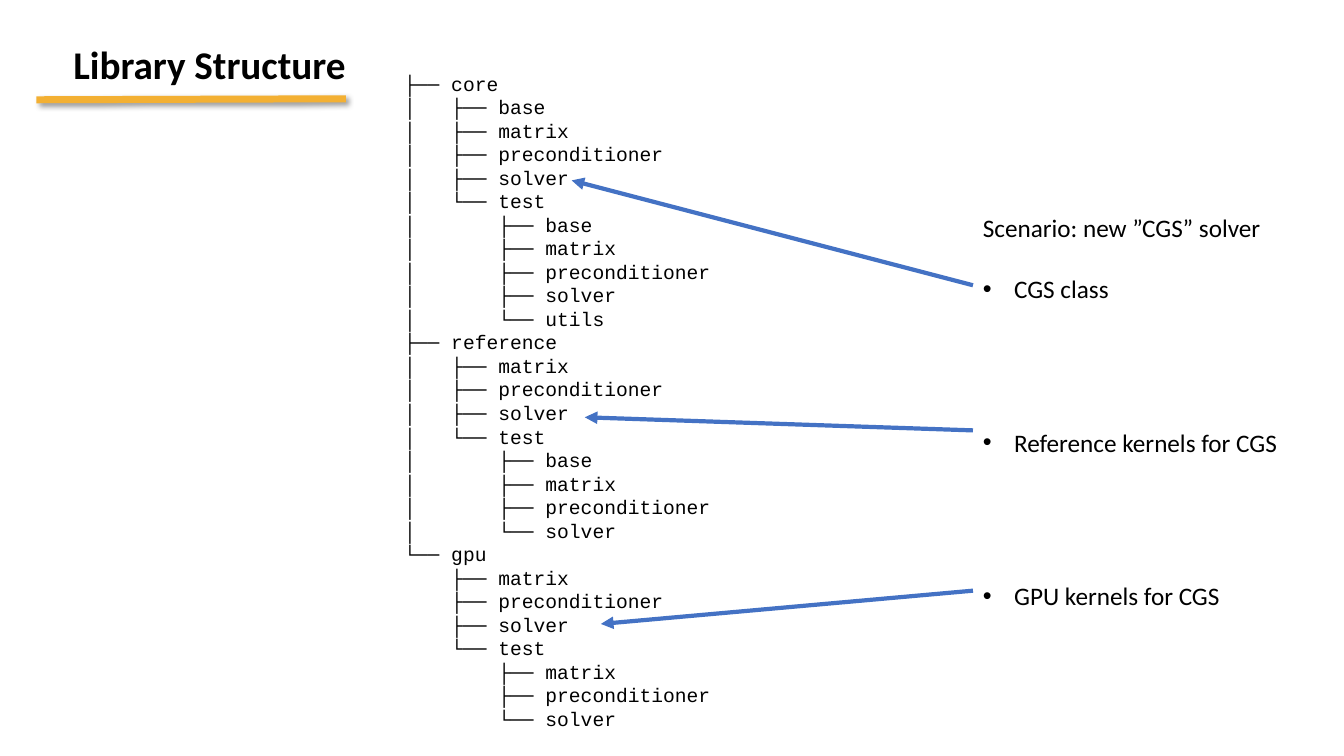
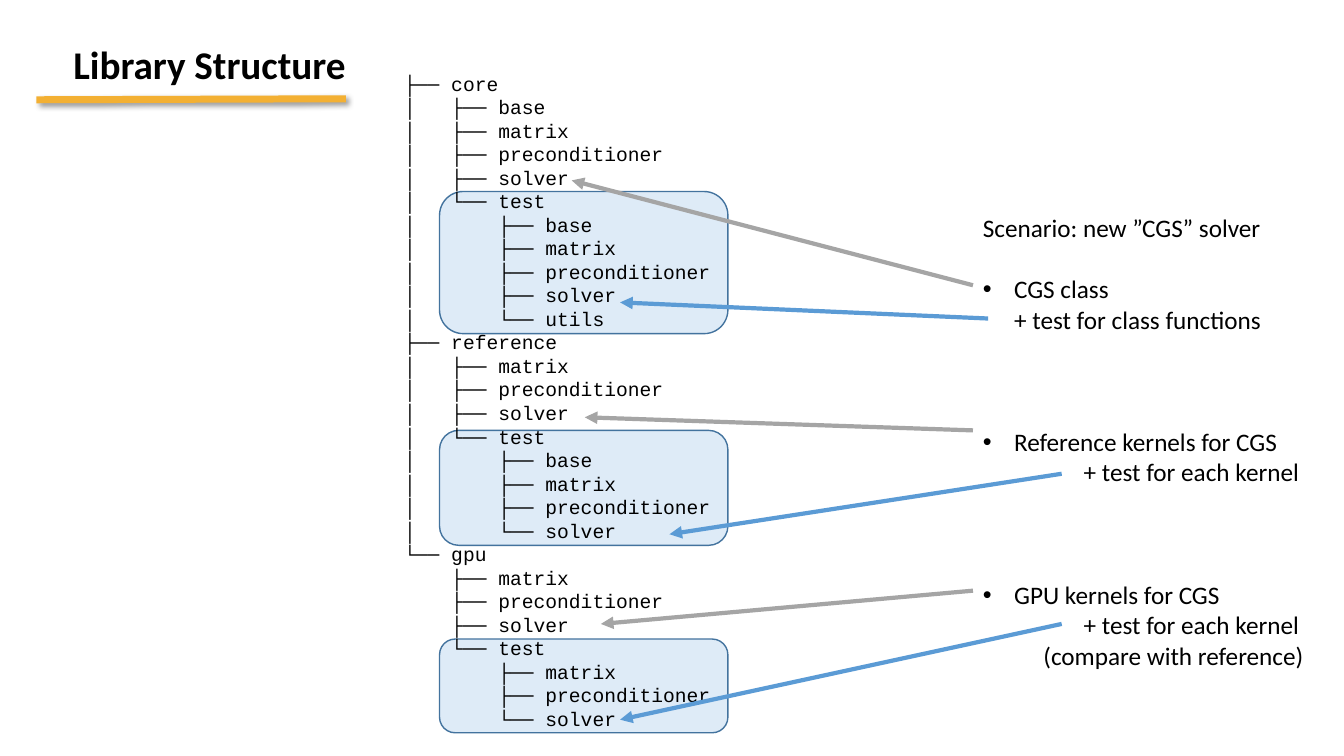
from lxml import etree
from pptx import Presentation
from pptx.dml.color import RGBColor
from pptx.enum.shapes import MSO_CONNECTOR, MSO_SHAPE
from pptx.enum.text import MSO_ANCHOR
from pptx.oxml.ns import qn
from pptx.util import Inches, Pt

STRAIGHT = MSO_CONNECTOR.STRAIGHT
ROUNDED = MSO_SHAPE.ROUNDED_RECTANGLE
MIDDLE = MSO_ANCHOR.MIDDLE

BLACK, GOLD = "000000", "F3B033"
BLUE, LIGHT_BLUE, GREY = "4472C4", "5B9BD5", "A5A5A5"
PANEL_FILL, PANEL_LINE = "DEEBF7", "43739E"

TITLE_FONT = {"name": "Calibri", "size": Pt(28), "bold": True}
NOTE_FONT = {"name": "Calibri", "size": Pt(18)}
TREE_FONT = {"name": "Courier New", "size": Pt(14)}
TREE_PITCH = Pt(16.8)
NOTE_LINE = 22
NOTE_INDENT = 0.31

TITLE_BOX = (0.63, -0.09, 11.03, 1.5)
TREE_BOX = (3.91, 0.66, 5.89, 6.7)
NOTES_BOX = (9.65, 2.06, 3.42, 4.95)

KERNELS = ["matrix", "preconditioner", "solver"]
WITH_BASE = ["base", *KERNELS]
LIBRARY = [
    ("core", [*WITH_BASE, ("test", [*WITH_BASE, "utils"])]),
    ("reference", [*KERNELS, ("test", WITH_BASE)]),
    ("gpu", [*KERNELS, ("test", KERNELS)]),
]

SCENARIO = "Scenario: new ”CGS” solver"
TASKS = ["CGS class", "Reference kernels for CGS", "GPU kernels for CGS"]
# For each task: the test lines below it, with their left indents
TESTS = [
    [("+ test for class functions", NOTE_INDENT)],
    [("+ test for each kernel", 1)],
    [("+ test for each kernel", 1), ("(compare with reference)", 0.6)],
]

SOLVER_ARROWS = [
    ((9.65, 2.83), (5.67, 1.79)),
    ((9.65, 4.27), (5.8, 4.14)),
    ((9.65, 5.86), (5.96, 6.19)),
]
TEST_ARROWS = [
    ((9.8, 3.16), (6.15, 3)),
    ((10.53, 4.7), (6.64, 5.3)),
    ((10.53, 6.19), (6.15, 7.14)),
]
TEST_PANELS = [(1.9, 1.41), (4.27, 1.14), (6.34, 0.93)]


def color(value):
    return RGBColor.from_string(value)


def add_text_frame(page, box):
    frame = page.shapes.add_textbox(*map(Inches, box)).text_frame
    frame.word_wrap = True
    return frame


def next_paragraph(frame):
    """Return the first paragraph while it is unused, then new ones."""
    first = frame.paragraphs[0]
    return frame.add_paragraph() if first.runs else first


def write_line(frame, text, font):
    para = next_paragraph(frame)
    span = para.add_run()
    span.text = text
    for name, value in font.items():
        setattr(span.font, name, value)
    span.font.color.rgb = color(BLACK)
    return para


def indent(para, left, bullet=None):
    properties = para._p.get_or_add_pPr()
    properties.set("marL", str(Inches(left)))
    if bullet:
        properties.set("indent", str(-Inches(left)))
        etree.SubElement(properties, qn("a:buFont")).set("typeface", "Arial")
        etree.SubElement(properties, qn("a:buChar")).set("char", bullet)


def add_line(page, start, end, hue, width):
    """Draw a straight line and return it with its empty effect list."""
    points = map(Inches, (*start, *end))
    line = page.shapes.add_connector(STRAIGHT, *points)
    line.line.color.rgb = color(hue)
    line.line.width = Pt(width)
    effects = etree.SubElement(line._element.spPr, qn("a:effectLst"))
    return line, effects


def add_arrows(page, arrows, hue):
    for start, end in arrows:
        line, _ = add_line(page, start, end, hue, 3)
        outline = line.line._get_or_add_ln()
        etree.SubElement(outline, qn("a:tailEnd")).set("type", "triangle")


def add_title(page, text, box):
    frame = add_text_frame(page, box)
    frame.vertical_anchor = MIDDLE
    write_line(frame, text, TITLE_FONT).line_spacing = 0.9
    left, top = box[:2]
    _, effects = add_line(page, (left - 0.27, top + 1.08),
                          (left + 2.8, top + 1.07), GOLD, 5)
    shadow = etree.SubElement(effects, qn("a:outerShdw"), blurRad=str(Pt(4)),
                              dist=str(Pt(3)), dir="2700000", algn="tl")
    shade = etree.SubElement(shadow, qn("a:srgbClr"), val=BLACK)
    etree.SubElement(shade, qn("a:alpha"), val="40000")


def tree_lines(nodes, prefix=""):
    """Yield the rows of a folder tree, depth first."""
    for number, node in enumerate(nodes, 1):
        name, children = (node, []) if isinstance(node, str) else node
        last = number == len(nodes)
        lead = prefix[:-1] + " " if prefix else ""
        yield f"{lead}{'└' if last else '├'}── {name}"
        yield from tree_lines(children, prefix + (" " if last else "│") + " " * 3)


def add_tree(page, box):
    frame = add_text_frame(page, box)
    for text in tree_lines(LIBRARY):
        write_line(frame, text, TREE_FONT).line_spacing = TREE_PITCH


def add_notes(page, box, tests):
    """List the tasks at a fixed pitch, whatever lines stand below each."""
    frame = add_text_frame(page, box)
    write_line(frame, SCENARIO, NOTE_FONT)
    gap_lines = 1
    for task, extras in zip(TASKS, tests):
        para = write_line(frame, task, NOTE_FONT)
        para.space_before = Pt(NOTE_LINE * gap_lines)
        indent(para, NOTE_INDENT, "•")
        for text, left in extras:
            indent(write_line(frame, text, NOTE_FONT), left)
        gap_lines = 4 - len(extras)


def add_test_panels(page, left, width):
    for top, height in TEST_PANELS:
        panel = page.shapes.add_shape(
            ROUNDED, *map(Inches, (left, top, width, height)))
        panel.shadow.inherit = False
        panel.fill.solid()
        panel.fill.fore_color.rgb = color(PANEL_FILL)
        panel.line.color.rgb = color(PANEL_LINE)
        panel.line.width = Pt(1)


def add_structure_page(deck, with_tests):
    page = deck.slides.add_slide(deck.slide_layouts[6])
    if with_tests:
        add_test_panels(page, 4.36, 2.86)
    add_title(page, "Library Structure", TITLE_BOX)
    add_tree(page, TREE_BOX)
    add_notes(page, NOTES_BOX, TESTS if with_tests else [[], [], []])
    add_arrows(page, SOLVER_ARROWS, GREY if with_tests else BLUE)
    if with_tests:
        add_arrows(page, TEST_ARROWS, LIGHT_BLUE)


def main():
    deck = Presentation()
    deck.slide_width, deck.slide_height = Inches(13.33), Inches(7.5)
    for with_tests in (False, True):
        add_structure_page(deck, with_tests)
    deck.save("out.pptx")


if __name__ == "__main__":
    main()
